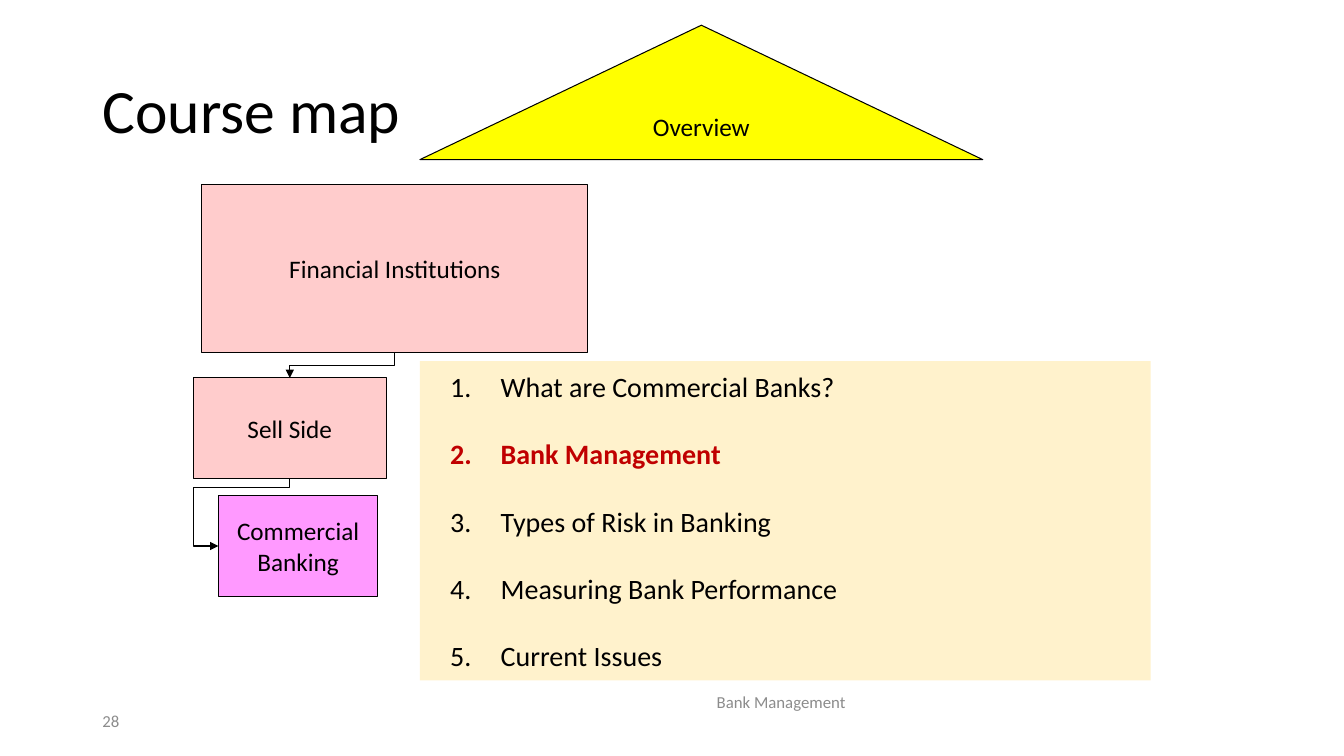
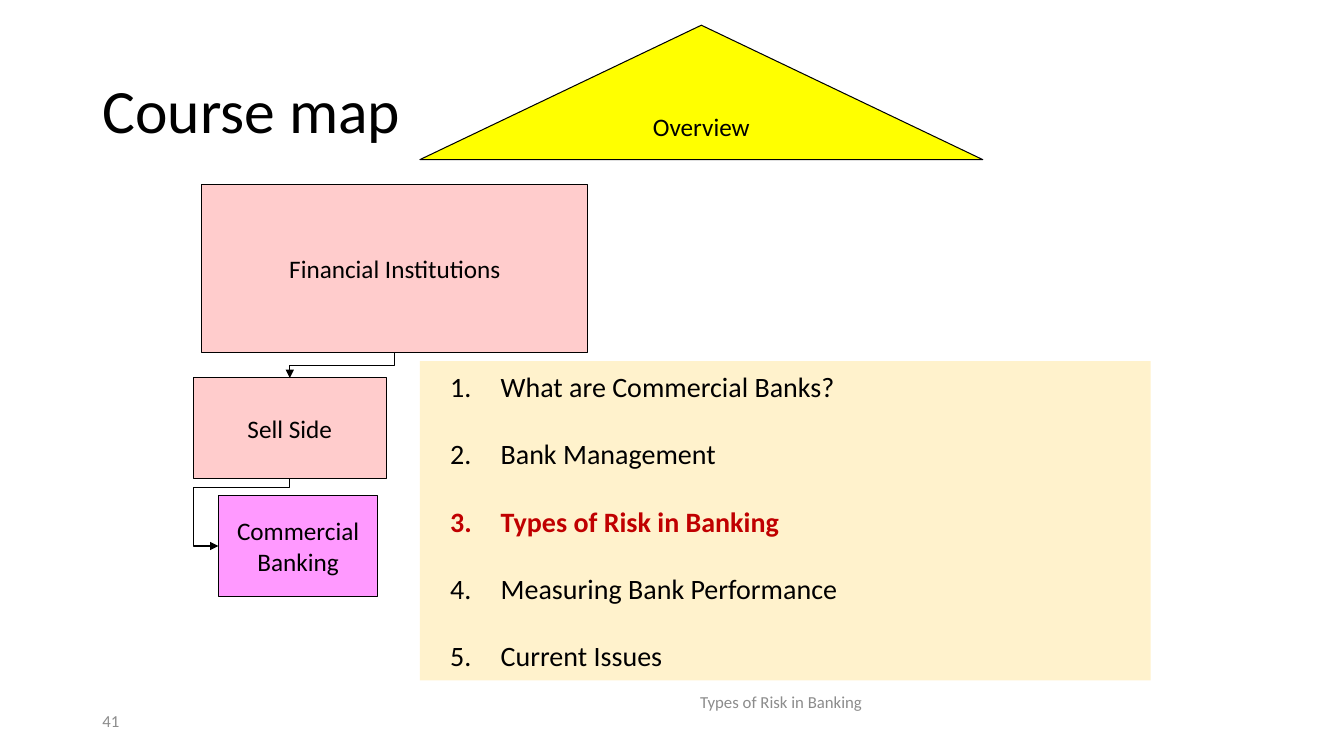
import pptx
import pptx.util
import pptx.dml.color
import pptx.enum.shapes
import pptx.enum.text
import pptx.oxml
import pptx.oxml.ns

Pt = pptx.util.Pt
Shapes = pptx.enum.shapes.MSO_SHAPE
Align = pptx.enum.text.PP_ALIGN
Anchor = pptx.enum.text.MSO_ANCHOR

TITLE = "Course map"
TOPICS = [
    "What are Commercial Banks?",
    "Bank Management",
    "Types of Risk in Banking",
    "Measuring Bank Performance",
    "Current Issues",
]
SLIDES = [("28", "Bank Management"), ("41", "Types of Risk in Banking")]

BLACK, GREY, RED = "000000", "8C8C8C", "C00000"
PINK, MAGENTA, YELLOW, CREAM = "FFCCCC", "FF99FF", "FFFF00", "FFF2CC"

TITLE_AREA = (66, 29, 828, 104)
LIST_AREA = (300, 258, 522, 228)
NUMBER_AREA = (66, 500.5, 216, 29)
FOOTER_AREA = (276.5, 484, 563, 34)

BOXES = [
    ("Sell Side", Shapes.RECTANGLE, (138, 270, 138, 72), PINK, False),
    ("Commercial Banking", Shapes.RECTANGLE, (156, 354, 114, 72), MAGENTA, True),
    ("Financial Institutions", Shapes.RECTANGLE, (144, 132, 276, 120), PINK, False),
    ("Overview", Shapes.FLOWCHART_EXTRACT, (300, 18, 402, 96), YELLOW, False),
]
LINKS = [
    ("Financial Institutions", "Sell Side", 0, "bentConnector3", [50000]),
    ("Sell Side", "Commercial Banking", 1, "bentConnector4", [12500, 135300]),
]

LABEL = {"size": Pt(18)}
SMALL = {"size": Pt(12), "color": GREY}
TOPIC = {"size": Pt(20), "bold": False}
CURRENT_TOPIC = {"size": Pt(20), "bold": True, "color": RED}


def rgb(value):
    return pptx.dml.color.RGBColor.from_string(value)


def set_attributes(target, values):
    for name, value in values.items():
        setattr(target, name, value)


def place(shape, area):
    set_attributes(shape, dict(zip(("left", "top", "width", "height"), map(Pt, area))))


def fill(shape, color):
    shape.fill.solid()
    shape.fill.fore_color.rgb = rgb(color)


def outline(shape):
    shape.line.color.rgb = rgb(BLACK)
    shape.line.width = Pt(0.75)


def add_child(parent, tag, **attributes):
    child = pptx.oxml.parse_xml(f"<{tag} {pptx.oxml.ns.nsdecls('a')}/>")
    for name, value in attributes.items():
        child.set(name, value)
    parent.append(child)
    return child


def write(paragraph, text, style, **layout):
    run = paragraph.add_run()
    run.text = text
    font = {"name": "Calibri", **style}
    run.font.color.rgb = rgb(font.pop("color", BLACK))
    set_attributes(run.font, font)
    set_attributes(paragraph, layout)


def prepare_frame(shape, wrap=True):
    frame = shape.text_frame
    set_attributes(frame, {
        "word_wrap": wrap,
        "auto_size": pptx.enum.text.MSO_AUTO_SIZE.NONE,
        "vertical_anchor": Anchor.MIDDLE,
    })
    return frame


def add_title(slide):
    title = slide.shapes.title
    place(title, TITLE_AREA)
    write(prepare_frame(title).paragraphs[0], TITLE, {"size": Pt(44)},
          alignment=Align.LEFT, line_spacing=0.9)


def add_topics(slide, current):
    body = slide.placeholders[1]
    place(body, LIST_AREA)
    fill(body, CREAM)
    frame = prepare_frame(body)
    for index, topic in enumerate(TOPICS):
        paragraph = frame.add_paragraph() if index else frame.paragraphs[0]
        properties = paragraph._p.get_or_add_pPr()
        properties.set("marL", str(Pt(50.4)))
        properties.set("indent", str(Pt(-36)))
        add_child(properties, "a:buFont", typeface="+mj-lt")
        add_child(properties, "a:buAutoNum", type="arabicPeriod")
        write(paragraph, topic, CURRENT_TOPIC if topic == current else TOPIC,
              space_before=Pt(0), line_spacing=2.0 if index else 1.0)


def add_box(slide, text, preset, area, color, wrap):
    box = slide.shapes.add_shape(preset, *map(Pt, area))
    box.shadow.inherit = False
    fill(box, color)
    outline(box)
    write(prepare_frame(box, wrap).paragraphs[0], text, LABEL, alignment=Align.CENTER)
    return box


def add_link(slide, source, target, side, preset, adjustments):
    link = slide.shapes.add_connector(pptx.enum.shapes.MSO_CONNECTOR.ELBOW, 0, 0, 0, 0)
    link.begin_connect(source, 2)
    link.end_connect(target, side)
    across, down = link.width, link.height
    center_x, center_y = link.left + across // 2, link.top + down // 2
    set_attributes(link, {
        "left": center_x - down // 2,
        "top": center_y - across // 2,
        "width": down,
        "height": across,
    })
    properties = link._element.spPr
    transform = properties.find(pptx.oxml.ns.qn("a:xfrm"))
    transform.attrib.pop("flipH", None)
    transform.set("rot", "5400000")
    geometry = properties.find(pptx.oxml.ns.qn("a:prstGeom"))
    geometry.set("prst", preset)
    guides = geometry.find(pptx.oxml.ns.qn("a:avLst"))
    for number, value in enumerate(adjustments, 1):
        add_child(guides, "a:gd", name=f"adj{number}", fmla=f"val {value}")
    outline(link)
    add_child(link.line._get_or_add_ln(), "a:tailEnd", type="triangle")
    add_child(properties, "a:effectLst")


def add_small_text(slide, area, text, alignment):
    box = slide.shapes.add_textbox(*map(Pt, area))
    write(prepare_frame(box).paragraphs[0], text, SMALL, alignment=alignment)


def add_course_map(presentation, number, current):
    slide = presentation.slides.add_slide(presentation.slide_layouts[1])
    add_title(slide)
    add_topics(slide, current)
    boxes = {box[0]: add_box(slide, *box) for box in BOXES}
    for source, target, *route in LINKS:
        add_link(slide, boxes[source], boxes[target], *route)
    add_small_text(slide, NUMBER_AREA, number, Align.LEFT)
    add_small_text(slide, FOOTER_AREA, current, Align.CENTER)


def main():
    presentation = pptx.Presentation()
    presentation.slide_width = Pt(960)
    presentation.slide_height = Pt(540)
    for number, current in SLIDES:
        add_course_map(presentation, number, current)
    presentation.save("out.pptx")


if __name__ == "__main__":
    main()
